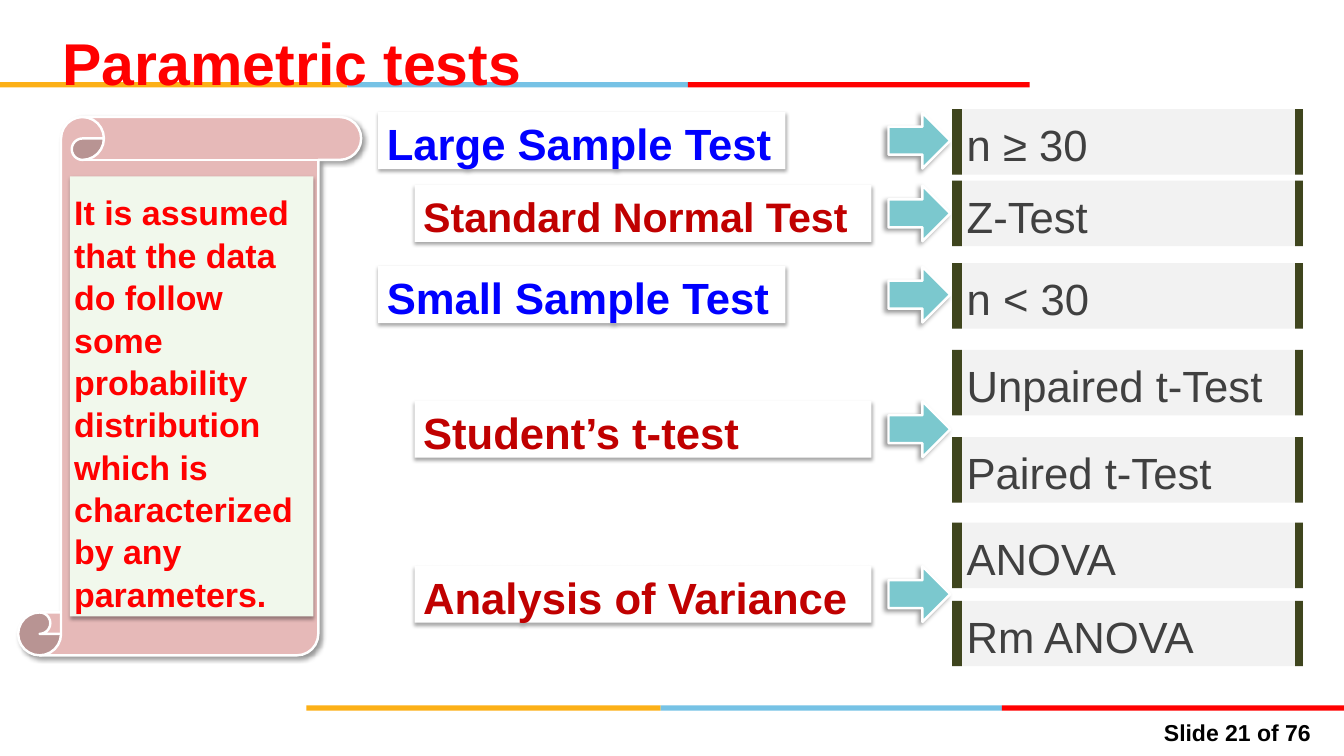
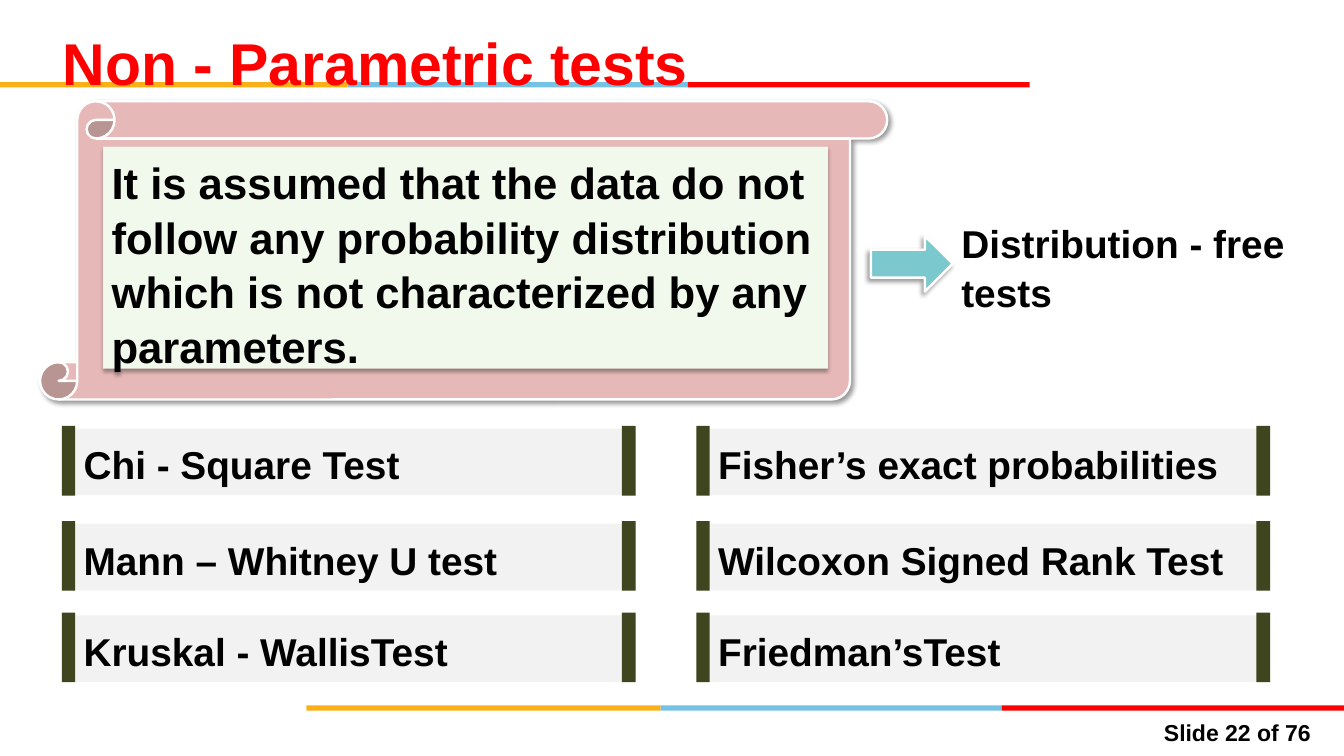
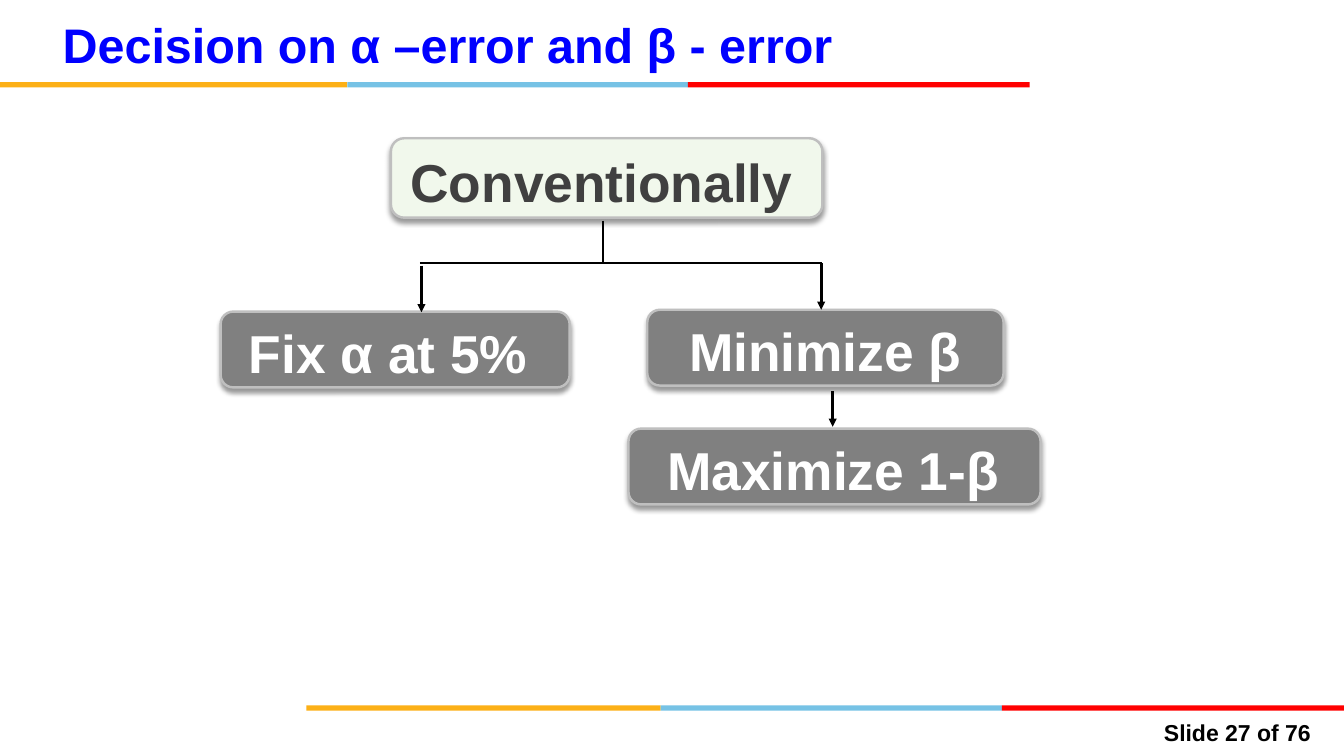
from lxml import etree
from pptx import Presentation
from pptx.dml.color import RGBColor
from pptx.enum.shapes import MSO_CONNECTOR as Connector, MSO_SHAPE as Preset
from pptx.enum.text import MSO_ANCHOR as Anchor, PP_ALIGN as Align
from pptx.oxml.ns import qn
from pptx.util import Pt

# Shared look
FONT = "Arial"
RED, BLUE, DARK_RED = RGBColor(255, 0, 0), RGBColor(0, 0, 255), RGBColor(192, 0, 0)
GOLD, SKY, TEAL = RGBColor(252, 176, 23), RGBColor(118, 194, 229), RGBColor(123, 200, 206)
BLACK, WHITE, INK = RGBColor(0, 0, 0), RGBColor(255, 255, 255), RGBColor(64, 64, 64)
GREY, SILVER, PALE = RGBColor(128, 128, 128), RGBColor(191, 191, 191), RGBColor(242, 242, 242)
MINT, ROSE, OLIVE = RGBColor(241, 248, 236), RGBColor(230, 185, 184), RGBColor(63, 69, 30)

# Shadows: opacity %, blur, distance, direction in degrees
CARD_SHADOW = (35, 3.1, 1.8, 90)
NODE_SHADOW = (40, 4, 3, 90)
ARROW_SHADOW = (40, 4, 3, 135)
SCROLL_SHADOW = (40, 4, 3, 45)

# Strips: top, then the edges between gold, sky and red
STRIPS = [(67.7, (0, 286.5, 567.5, 849.5)), (581.7, (252.7, 545, 826.5, 1108.8))]
STRIP_HEIGHT = 4.4
TOTAL_SLIDES = 76

# Slide "Parametric tests"
PARAMETRIC_NOTE = ("It is assumed that the data do follow some probability "
                   "distribution which is characterized by any parameters.")
MAIN = dict(left=312, width=336, color=BLUE)
SUB = dict(left=342, width=377, color=DARK_RED)
CATEGORIES = [  # text, size, centre y, level
    ("Large Sample Test", 36, 116, MAIN),
    ("Standard Normal Test", 34, 176, SUB),
    ("Small Sample Test", 36, 243, MAIN),
    ("Student’s t-test", 36, 354, SUB),
    ("Analysis of Variance", 36, 490, SUB),
]
PROCEDURES = [  # text, centre y
    ("n ≥ 30", 117), ("Z-Test", 176), ("n < 30", 244), ("Unpaired t-Test", 315.5),
    ("Paired t-Test", 387.5), ("ANOVA", 458), ("Rm ANOVA", 522.5),
]
PROCEDURE_PANEL = dict(width=289.5, height=54, bars=(8, 6.5), bar_height=54, lift=0,
                       inset=12, size=36, color=INK, bold=False)

# Slide "Non - Parametric tests"
NON_PARAMETRIC_NOTE = ("It is assumed that the data do not follow any probability distribution "
                       "which is not characterized by any parameters.")
TEST_ROWS = [
    (381, ("Chi - Square Test", "Fisher’s exact probabilities")),
    (459.5, ("Mann – Whitney U test", "Wilcoxon Signed Rank Test")),
    (535, ("Kruskal - WallisTest", "Friedman’sTest")),
]
TEST_COLUMNS = (51, 574.5)
TEST_PANEL = dict(width=473.5, height=55, bars=(11, 11.5), bar_height=57.5, lift=1,
                  inset=18, size=32, color=BLACK, bold=True)

# Slide "Decision": text, box, fill, text colour, leftward shift of the text
NODES = [
    ("Conventionally", (322.5, 114, 356, 65.5), MINT, INK, 4),
    ("Fix α at 5%", (182, 257, 288, 62.5), GREY, WHITE, 5.5),
    ("Minimize β", (534, 255.5, 294, 62.5), GREY, WHITE, 0),
    ("Maximize 1-β", (518.5, 353.5, 340, 62.5), GREY, WHITE, 1),
]
BRANCHES = [  # from, to, has arrowhead
    ((497.5, 182), (497.5, 218), False),
    ((346.5, 217), (678, 217), False),
    ((347.7, 219), (347.7, 257.5), True),
    ((677.5, 217), (677.5, 255.5), True),
    ((687, 322.5), (687, 352), True),
]


def write(shape, text, size, color, bold=True, align=Align.LEFT, anchor=Anchor.MIDDLE,
          left=7.2, right=7.2, top=6):
    frame = shape.text_frame
    frame.word_wrap = True
    frame.vertical_anchor = anchor
    frame.margin_left, frame.margin_right = Pt(left), Pt(right)
    frame.margin_top, frame.margin_bottom = Pt(top), Pt(3.6)
    paragraph = frame.paragraphs[0]
    paragraph.text = text
    paragraph.alignment = align
    paragraph.line_spacing = 1.04
    font = paragraph.font
    font.name, font.size, font.bold = FONT, Pt(size), bold
    font.color.rgb = color


def add_text(slide, box, text, size, color, **style):
    write(slide.shapes.add_textbox(*map(Pt, box)), text, size, color, **style)


def add_block(slide, box, fill, preset=Preset.RECTANGLE, outline=None, shadow=None):
    block = slide.shapes.add_shape(preset, *map(Pt, box))
    block.fill.solid()
    block.fill.fore_color.rgb = fill
    if outline is None:
        block.line.fill.background()
    else:
        block.line.color.rgb = outline
        block.line.width = Pt(2)
    block.shadow.inherit = False
    if shadow:
        opacity, blur, distance, direction = shadow
        effects = block._element.spPr.find(qn("a:effectLst"))
        outer = etree.SubElement(effects, qn("a:outerShdw"), blurRad=str(Pt(blur)),
                                 dist=str(Pt(distance)), dir=str(direction * 60000),
                                 algn="ctr", rotWithShape="0")
        tint = etree.SubElement(outer, qn("a:srgbClr"), val=str(BLACK))
        etree.SubElement(tint, qn("a:alpha"), val=str(opacity * 1000))
    return block


def add_arrow(slide, left, middle, width):
    add_block(slide, (left, middle - 23, width, 46), TEAL, Preset.RIGHT_ARROW,
              WHITE, ARROW_SHADOW)


def add_scroll(slide, scroll, paper, text, size, color, **style):
    add_block(slide, scroll, ROSE, Preset.VERTICAL_SCROLL, WHITE, SCROLL_SHADOW)
    sheet = add_block(slide, paper, MINT, shadow=CARD_SHADOW)
    write(sheet, text, size, color, anchor=Anchor.TOP, **style)


def add_panel(slide, left, middle, text, look):
    width, height = look["width"], look["height"]
    panel = add_block(slide, (left, middle - height / 2, width, height), PALE)
    write(panel, text, look["size"], look["color"], look["bold"], left=look["inset"])
    first, last = look["bars"]
    bar_top = middle - look["bar_height"] / 2 - look["lift"]
    for bar_left, bar_width in ((left, first), (left + width - last, last)):
        add_block(slide, (bar_left, bar_top, bar_width, look["bar_height"]), OLIVE)


def add_branch(slide, start, end, has_head):
    branch = slide.shapes.add_connector(Connector.STRAIGHT, *map(Pt, start + end))
    branch.line.color.rgb = BLACK
    branch.line.width = Pt(2.25)
    if has_head:
        etree.SubElement(branch.line._get_or_add_ln(), qn("a:tailEnd"), type="triangle")
    etree.SubElement(branch._element.spPr, qn("a:effectLst"))


def start_slide(deck, number, title, size=48.6, color=RED, top=22):
    slide = deck.slides.add_slide(deck.slide_layouts[6])
    for strip_top, edges in STRIPS:
        for left, right, fill in zip(edges, edges[1:], (GOLD, SKY, RED)):
            add_block(slide, (left, strip_top, right - left, STRIP_HEIGHT), fill)
    add_text(slide, (926.5, 586, 162, 28), f"Slide {number} of {TOTAL_SLIDES}", 19, BLACK,
             align=Align.RIGHT, anchor=Anchor.TOP)
    add_text(slide, (44.6, top, 998, 54), title, size, color)
    return slide


def build_parametric(deck):
    slide = start_slide(deck, 21, "Parametric tests")
    for text, size, middle, level in CATEGORIES:
        card = add_block(slide, (level["left"], middle - 23.5, level["width"], 47), WHITE,
                         shadow=CARD_SHADOW)
        write(card, text, size, level["color"])
        add_arrow(slide, 733, middle, 51)
    add_scroll(slide, (15, 96.5, 283, 444), (57.6, 145.5, 201, 363),
               PARAMETRIC_NOTE, 28, RED, left=3.6, right=0, top=11.5)
    for text, middle in PROCEDURES:
        add_panel(slide, 785.5, middle, text, PROCEDURE_PANEL)


def build_non_parametric(deck):
    slide = start_slide(deck, 22, "Non - Parametric tests")
    add_scroll(slide, (33, 83.5, 699, 246), (85, 121, 598, 183),
               NON_PARAMETRIC_NOTE, 36, BLACK, right=3.6)
    add_arrow(slide, 718.5, 217.5, 67.5)
    add_text(slide, (786, 174, 290, 85), "Distribution - free tests", 32, BLACK,
             anchor=Anchor.TOP)
    for middle, names in TEST_ROWS:
        for left, name in zip(TEST_COLUMNS, names):
            add_panel(slide, left, middle, name, TEST_PANEL)


def build_decision(deck):
    slide = start_slide(deck, 27, "Decision on α –error and β - error", 40, BLUE, 7)
    for text, box, fill, color, shift in NODES:
        node = add_block(slide, box, fill, Preset.ROUNDED_RECTANGLE, SILVER, NODE_SHADOW)
        write(node, text, 44, color, align=Align.CENTER, right=7.2 + 2 * shift)
    for branch in BRANCHES:
        add_branch(slide, *branch)


def main():
    deck = Presentation()
    deck.slide_width, deck.slide_height = Pt(1108.8), Pt(623.5)
    build_parametric(deck)
    build_non_parametric(deck)
    build_decision(deck)
    deck.save("out.pptx")


if __name__ == "__main__":
    main()
